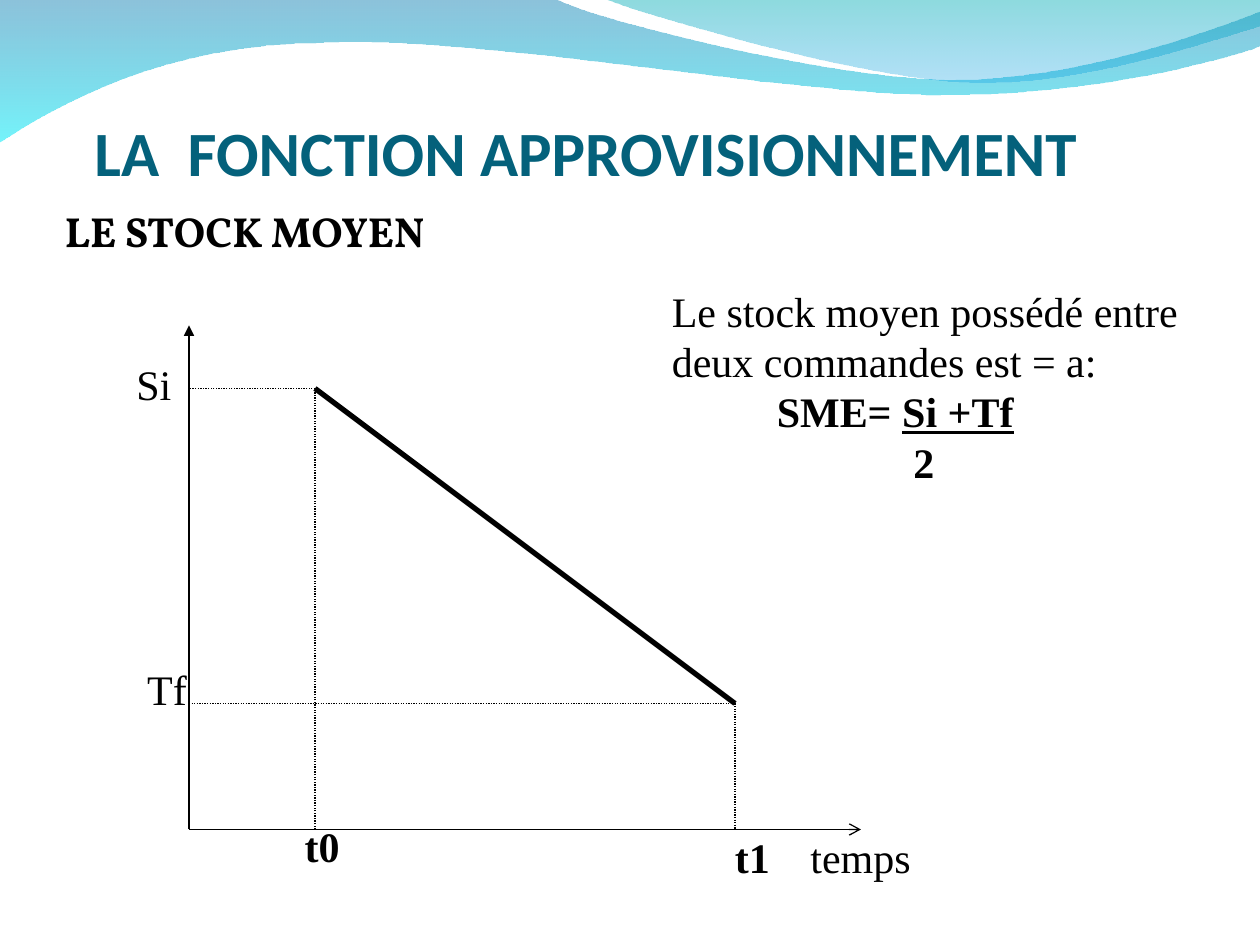
from itertools import pairwise

from lxml import etree
from pptx import Presentation
from pptx.dml.color import RGBColor
from pptx.enum.dml import MSO_LINE
from pptx.enum.shapes import MSO_CONNECTOR
from pptx.enum.text import MSO_ANCHOR, MSO_AUTO_SIZE
from pptx.oxml.ns import qn
from pptx.util import Pt

STRAIGHT = MSO_CONNECTOR.STRAIGHT
DOTTED = MSO_LINE.ROUND_DOT
TOP, BOTTOM = MSO_ANCHOR.TOP, MSO_ANCHOR.BOTTOM
FIT_SHAPE = MSO_AUTO_SIZE.SHAPE_TO_FIT_TEXT

BLACK = "000000"
SERIF = "Times New Roman"

# Chart positions in points
ORIGIN_X, ORIGIN_Y = 108, 474
AXIS_END_X, AXIS_TOP_Y = 492, 186
T0_X, T1_X = 180, 420
SI_Y, TF_Y = 222, 402

# Waves: each step holds one point (straight) or three (Bézier)
LARGE_WAVE = [
    [(0, -0.72)],
    [(316.8, -0.72)],
    [(342.72, 12.24), (478.08, 45.36), (545.76, 45.36)],
    [(614.16, 45.36), (689.76, 18.72), (720, 6.48)],
    [(720.72, 25.92)],
    [(707.76, 31.68), (626.4, 54.72), (537.12, 54)],
    [(447.84, 54), (275.04, 20.16), (185.04, 24.48)],
    [(92.88, 25.2), (33.12, 59.76), (-0.72, 81.36)],
]
SMALL_WAVE = [
    [(344.88, -0.72)],
    [(366.48, 7.92), (491.04, 44.64), (553.68, 46.8)],
    [(616.32, 49.68), (691.92, 23.04), (720, 15.12)],
    [(720, 0)],
]


def color(hex_value):
    return RGBColor.from_string(hex_value)


def bend_segments(wave, steps):
    """Merge the three straight segments of each Bézier step into one curve."""
    segments = iter(list(wave._element.iter(qn("a:lnTo"))))
    for step in steps[1:]:
        group = [next(segments) for _ in step]
        if len(group) == 3:
            curve = etree.Element(qn("a:cubicBezTo"))
            group[0].addprevious(curve)
            for segment in group:
                curve.append(segment[0])
                segment.getparent().remove(segment)


def add_wave(slide, steps, stops):
    """Draw a wave fading downwards; stops are (colour, opacity %)."""
    corners = [(Pt(x), Pt(y)) for step in steps for x, y in step]
    builder = slide.shapes.build_freeform(*corners[0])
    builder.add_line_segments(corners[1:], close=True)
    wave = builder.convert_to_shape()
    bend_segments(wave, steps)
    wave.shadow.inherit = False
    wave.line.fill.background()
    wave.fill.gradient()
    wave.fill.gradient_angle = 270
    for position, (stop, (hex_value, _)) in enumerate(zip(wave.fill.gradient_stops, stops)):
        stop.position = position
        stop.color.rgb = color(hex_value)
    for rgb, (_, opacity) in zip(wave._element.spPr.iter(qn("a:srgbClr")), stops):
        etree.SubElement(rgb, qn("a:alpha"), val=str(opacity * 1000))


def add_line(slide, start, end, width=0.75, dash=None, arrowhead=None):
    connector = slide.shapes.add_connector(STRAIGHT, *(Pt(v) for v in start + end))
    connector.line.color.rgb = color(BLACK)
    connector.line.width = Pt(width)
    if dash:
        connector.line.dash_style = dash
    if arrowhead:
        etree.SubElement(connector.line._get_or_add_ln(), qn("a:tailEnd"), type=arrowhead)
    etree.SubElement(connector._element.spPr, qn("a:effectLst"))


def format_font(font, size, name, hex_value, bold):
    font.size = Pt(size)
    font.name = name
    font.color.rgb = color(hex_value)
    font.bold = bold


def add_heading(slide, text, box, size, font_name, hex_value, margin, anchor):
    frame = slide.shapes.add_textbox(*(Pt(v) for v in box)).text_frame
    frame.word_wrap = True
    frame.margin_left = frame.margin_right = Pt(margin)
    frame.margin_bottom = 0
    frame.vertical_anchor = anchor
    frame.text = text
    format_font(frame.paragraphs[0].runs[0].font, size, font_name, hex_value, True)


def add_label(slide, text, box, bold=False):
    """Add unwrapped serif text, one paragraph per line."""
    frame = slide.shapes.add_textbox(*(Pt(v) for v in box)).text_frame
    frame.word_wrap = False
    frame.auto_size = FIT_SHAPE
    frame.text = text
    for paragraph in frame.paragraphs:
        format_font(paragraph.runs[0].font, 24, SERIF, BLACK, bold)
    return frame


def add_formula(slide):
    frame = add_label(slide, "Le stock moyen possédé entre\ndeux commandes est = a:\n"
                             "SME= \n2", (376.8, 159.4, 309.6, 122.4))
    average, divisor = frame.paragraphs[2:]
    numerator = average.add_run()
    numerator.text = "Si +Tf"
    format_font(numerator.font, 24, SERIF, BLACK, True)
    numerator.font.underline = True
    for paragraph, indent in ((average, 60), (divisor, 138)):
        paragraph.runs[0].font.bold = True
        paragraph._p.get_or_add_pPr().set("marL", str(Pt(indent)))


def add_stock_chart(slide):
    add_line(slide, (ORIGIN_X, ORIGIN_Y), (AXIS_END_X, ORIGIN_Y), arrowhead="arrow")
    add_line(slide, (ORIGIN_X, ORIGIN_Y), (ORIGIN_X, AXIS_TOP_Y), arrowhead="triangle")
    initial_guide = [(T0_X, ORIGIN_Y), (T0_X, SI_Y), (ORIGIN_X, SI_Y)]
    final_guide = [(ORIGIN_X, TF_Y), (T1_X, TF_Y), (T1_X, ORIGIN_Y)]
    for guide in (initial_guide, final_guide):
        for start, end in pairwise(guide):
            add_line(slide, start, end, dash=DOTTED)
    add_line(slide, (T0_X, SI_Y), (T1_X, TF_Y), width=3)

    for text, left, top, width, bold in (
        ("temps", 456, 471.5, 83, False),
        ("t1", 412.8, 471.5, 34.5, True),
        ("t0", 167, 465.4, 34.5, True),
        ("Tf", 77, 375.4, 37, False),
        ("Si", 70.8, 201.5, 34.5, False),
    ):
        add_label(slide, text, (left, top, width, 36), bold)


def main():
    presentation = Presentation()
    presentation.slide_width, presentation.slide_height = Pt(720), Pt(540)
    slide = presentation.slides.add_slide(presentation.slide_layouts[6])
    add_wave(slide, LARGE_WAVE, (("0079AF", 45), ("00EBF8", 55)))
    add_wave(slide, SMALL_WAVE, (("00ADB6", 45), ("009BE5", 30)))
    add_heading(slide, "LA  FONCTION APPROVISIONNEMENT", (54, 36, 612, 72),
                36, "Calibri", "04617B", 0, BOTTOM)
    add_heading(slide, "LE STOCK MOYEN", (30, 114, 660, 402),
                24, "Vollkorn", BLACK, 7.2, TOP)
    add_stock_chart(slide)
    add_formula(slide)
    presentation.save("out.pptx")


if __name__ == "__main__":
    main()
